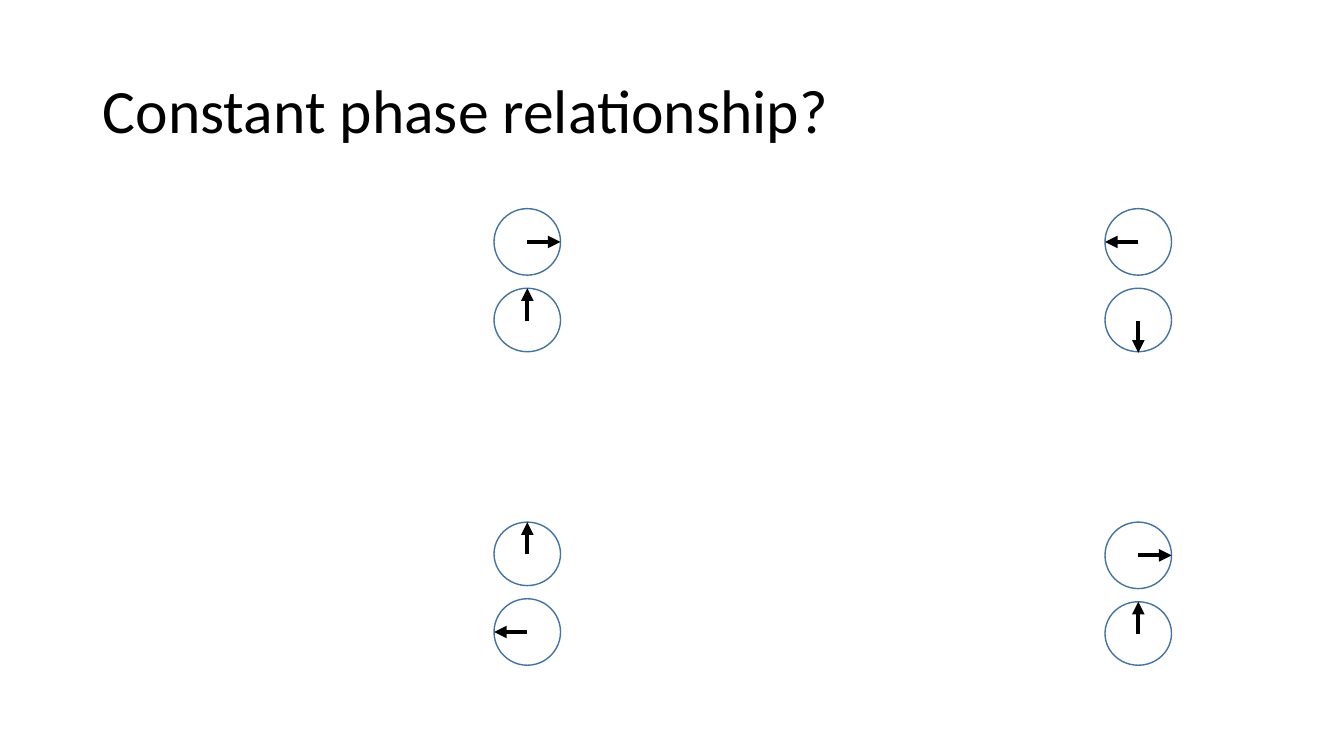
from lxml.etree import SubElement
from pptx import Presentation
from pptx.dml.color import RGBColor
from pptx.enum.shapes import MSO_CONNECTOR as Connector, MSO_SHAPE as Shape
from pptx.enum.text import MSO_ANCHOR as Anchor, PP_ALIGN as Align
from pptx.oxml.ns import qn
from pptx.util import Pt

PX = 9144  # EMU per px, 100 px to the inch
DIRECTIONS = {"right": (1, 0), "left": (-1, 0), "up": (0, -1), "down": (0, 1)}


def px(*lengths):
    return [length * PX for length in lengths]


def color(code):
    return RGBColor.from_string(code)


class PhasePage:
    font = "Calibri"
    ink = "000000"
    outline = "43739E"

    def __init__(self, deck):
        self.page = deck.slides.add_slide(deck.slide_layouts[5])

    def title(self, text, left, top, width, height):
        box = self.page.shapes.title
        box.left, box.top, box.width, box.height = px(left, top, width, height)
        frame = box.text_frame
        frame.word_wrap = True
        frame.vertical_anchor = Anchor.MIDDLE
        para = frame.paragraphs[0]
        para.alignment = Align.LEFT
        para.line_spacing = 0.9
        span = para.add_run()
        span.text = text
        span.font.name = self.font
        span.font.size = Pt(44)
        span.font.color.rgb = color(self.ink)

    def circle(self, group, left, top, width, height):
        circle = group.shapes.add_shape(Shape.OVAL, *px(left, top, width, height))
        circle.shadow.inherit = False
        circle.fill.background()
        circle.line.color.rgb = color(self.outline)
        circle.line.width = Pt(1)

    def arrow(self, group, start_x, start_y, end_x, end_y):
        arrow = group.shapes.add_connector(
            Connector.STRAIGHT, *px(start_x, start_y, end_x, end_y))
        arrow.line.color.rgb = color(self.ink)
        arrow.line.width = Pt(3)
        SubElement(arrow.line._get_or_add_ln(), qn("a:tailEnd"), type="triangle")
        SubElement(arrow._element.spPr, qn("a:effectLst"))

    def phasor(self, left, top, direction):
        """A circle with an arrow from its centre to its edge."""
        step_x, step_y = DIRECTIONS[direction]
        width, height = 66, 66 if step_x else 63
        center_x, center_y = left + 33, top + (height + 1) // 2
        group = self.page.shapes.add_group_shape()
        self.circle(group, left, top, width, height)
        self.arrow(group, center_x, center_y,
                   center_x + 33 * step_x, center_y + 32 * step_y)


def main():
    deck = Presentation()
    deck.slide_width, deck.slide_height = px(1333, 750)
    page = PhasePage(deck)

    # Title
    page.title("Constant phase relationship?", 92, 40, 1150, 145)

    # Phasor pairs: left column, then right column
    columns = {
        490: [(207, "right"), (286, "up"), (518, "up"), (594, "left")],
        1096: [(207, "left"), (286, "down"), (518, "right"), (597, "up")],
    }
    for left, phasors in columns.items():
        for top, direction in phasors:
            page.phasor(left, top, direction)

    deck.save("out.pptx")


if __name__ == "__main__":
    main()
